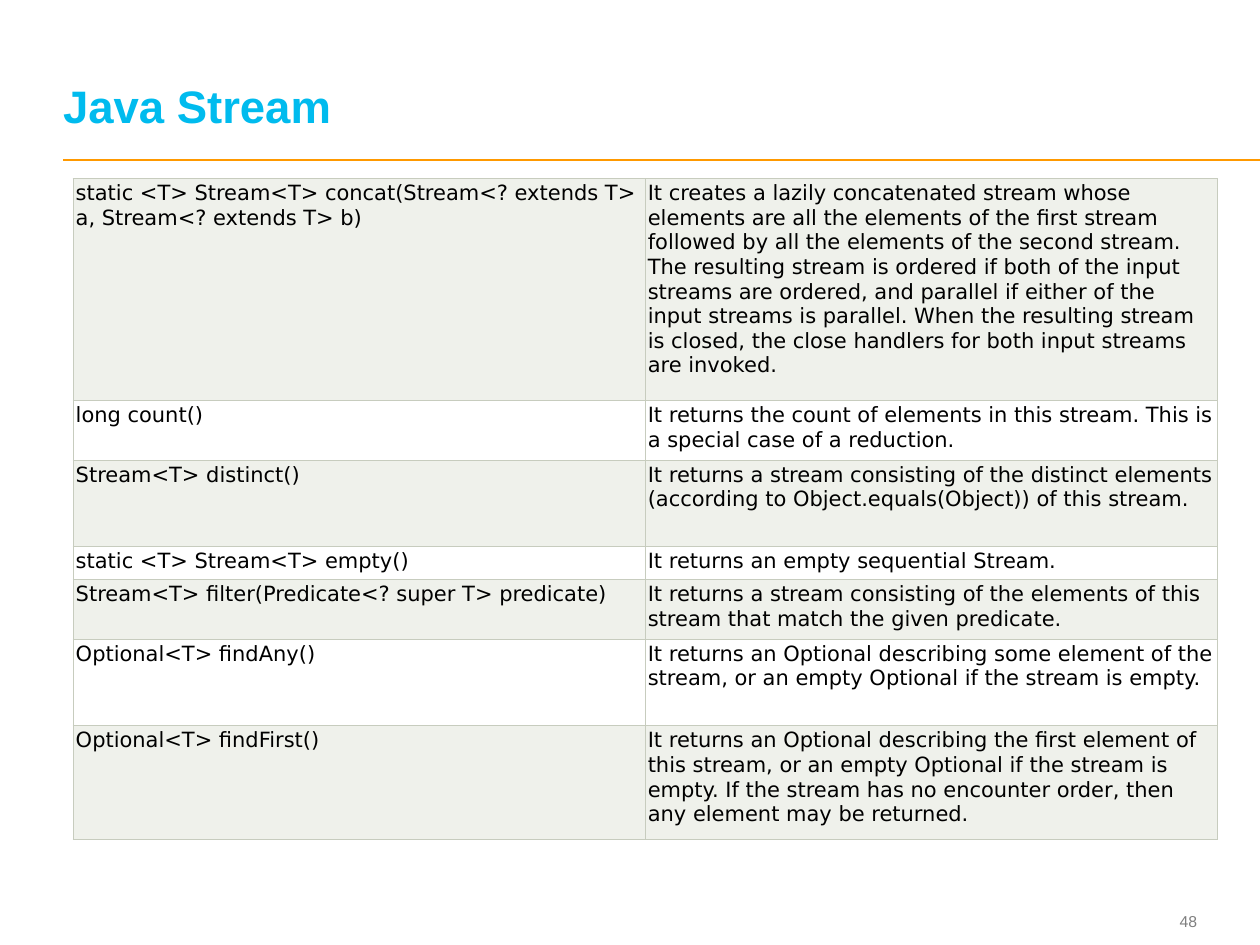
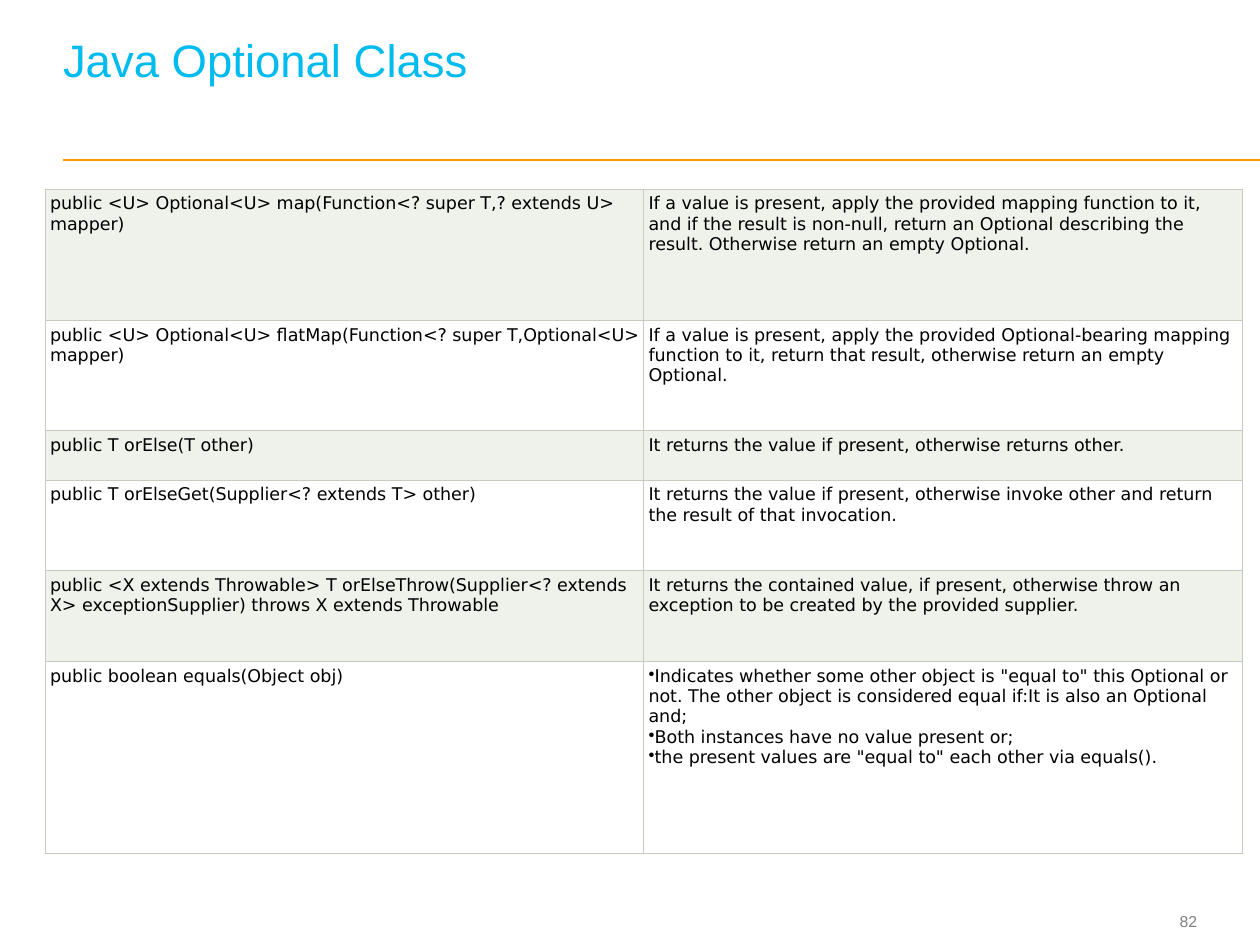
from dataclasses import dataclass

from lxml import etree
from pptx import Presentation
from pptx.dml.color import RGBColor
from pptx.enum.shapes import MSO_CONNECTOR
from pptx.enum.text import MSO_ANCHOR, MSO_AUTO_SIZE, PP_ALIGN
from pptx.oxml.ns import qn
from pptx.util import Pt

LEFT, RIGHT = PP_ALIGN.LEFT, PP_ALIGN.RIGHT
TOP, MIDDLE, BOTTOM = MSO_ANCHOR.TOP, MSO_ANCHOR.MIDDLE, MSO_ANCHOR.BOTTOM
NO_AUTOFIT = MSO_AUTO_SIZE.NONE
STRAIGHT = MSO_CONNECTOR.STRAIGHT
TITLE_ONLY = 5


@dataclass(frozen=True)
class Theme:
    title: str = "00BBEE"
    rule: str = "FF9900"
    number: str = "7F7F7F"
    ink: str = "000000"
    border: str = "C7CCBE"
    bands: tuple = ("EFF1EB", "FFFFFF")
    heading_font: str = "Arial"
    table_font: str = "DejaVu Sans"
    title_size: float = 26
    number_size: float = 9
    rule_width: float = 1
    border_width: float = 0.6


THEME = Theme()
SLIDE_SIZE = (720, 540)
TITLE_BOX = (36, 13.7, 645.8, 61.9)
RULE_BOX = (36, 91.4, 684, 0)
NUMBER_BOX = (641.5, 517, 42.5, 19.4)

STREAM_METHODS = [
    (127, "static <T> Stream<T> concat(Stream<? extends T> a, Stream<? extends T> b)",
     "It creates a lazily concatenated stream whose elements are all the elements of the first "
     "stream followed by all the elements of the second stream. The resulting stream is ordered "
     "if both of the input streams are ordered, and parallel if either of the input streams is "
     "parallel. When the resulting stream is closed, the close handlers for both input streams "
     "are invoked."),
    (34, "long count()",
     "It returns the count of elements in this stream. This is a special case of a reduction."),
    (49.5, "Stream<T> distinct()",
     "It returns a stream consisting of the distinct elements (according to "
     "Object.equals(Object)) of this stream."),
    (18.8, "static <T> Stream<T> empty()",
     "It returns an empty sequential Stream."),
    (34, "Stream<T> filter(Predicate<? super T> predicate)",
     "It returns a stream consisting of the elements of this stream that match the given "
     "predicate."),
    (49.5, "Optional<T> findAny()",
     "It returns an Optional describing some element of the stream, or an empty Optional if "
     "the stream is empty."),
    (65, "Optional<T> findFirst()",
     "It returns an Optional describing the first element of this stream, or an empty Optional "
     "if the stream is empty. If the stream has no encounter order, then any element may be "
     "returned."),
]

OPTIONAL_METHODS = [
    (75, "public <U> Optional<U> map(Function<? super T,? extends U> mapper)",
     "If a value is present, apply the provided mapping function to it, and if the result is "
     "non-null, return an Optional describing the result. Otherwise return an empty Optional."),
    (63, "public <U> Optional<U> flatMap(Function<? super T,Optional<U> mapper)",
     "If a value is present, apply the provided Optional-bearing mapping function to it, return "
     "that result, otherwise return an empty Optional."),
    (28.3, "public T orElse(T other)",
     "It returns the value if present, otherwise returns other."),
    (51.8, "public T orElseGet(Supplier<? extends T> other)",
     "It returns the value if present, otherwise invoke other and return the result of that "
     "invocation."),
    (51.8, "public <X extends Throwable> T orElseThrow(Supplier<? extends X> exceptionSupplier) "
     "throws X extends Throwable",
     "It returns the contained value, if present, otherwise throw an exception to be created by "
     "the provided supplier."),
    (110, "public boolean equals(Object obj)",
     ["Indicates whether some other object is \"equal to\" this Optional or not. The other "
      "object is considered equal if:It is also an Optional and;",
      "Both instances have no value present or;",
      "the present values are \"equal to\" each other via equals()."]),
]


def rgb(value):
    return RGBColor.from_string(value)


def points(box):
    return [Pt(length) for length in box]


def write(frame, text, *, font, size, color, bold=False, align=LEFT, spacing=None):
    bulleted = isinstance(text, list)
    for index, line in enumerate(text if bulleted else [text]):
        paragraph = frame.paragraphs[0] if index == 0 else frame.add_paragraph()
        if bulleted:
            properties = paragraph._p.get_or_add_pPr()
            properties.set("marL", "0")
            properties.set("indent", "0")
            etree.SubElement(properties, qn("a:buChar")).set("char", "•")
        paragraph.alignment = align
        if spacing:
            paragraph.line_spacing = Pt(spacing)
        run = paragraph.add_run()
        run.text = line
        run.font.name = font
        run.font.size = Pt(size)
        run.font.bold = bold
        run.font.color.rgb = rgb(color)


def set_margins(target, inset, bottom=None):
    target.margin_left = target.margin_right = target.margin_top = Pt(inset)
    target.margin_bottom = Pt(inset if bottom is None else bottom)


def add_title(slide, box, text, bold, raised_lines):
    title = slide.shapes.title
    title.left, title.top, title.width, title.height = points(box)
    frame = title.text_frame
    frame.auto_size = NO_AUTOFIT
    frame.word_wrap = True
    frame.vertical_anchor = BOTTOM
    set_margins(frame, 0, raised_lines * THEME.title_size)
    write(frame, text, font=THEME.heading_font, size=THEME.title_size,
          color=THEME.title, bold=bold, spacing=THEME.title_size)


def add_rule(slide, box):
    left, top, width, height = points(box)
    rule = slide.shapes.add_connector(STRAIGHT, left, top, left + width, top + height)
    rule.line.color.rgb = rgb(THEME.rule)
    rule.line.width = Pt(THEME.rule_width)
    etree.SubElement(rule._element.spPr, qn("a:effectLst"))


def add_number(slide, box, number):
    frame = slide.shapes.add_textbox(*points(box)).text_frame
    frame.word_wrap = True
    frame.vertical_anchor = MIDDLE
    set_margins(frame, 0)
    write(frame, number, font=THEME.heading_font, size=THEME.number_size,
          color=THEME.number, align=RIGHT)


def set_borders(cell):
    properties = cell._tc.get_or_add_tcPr()
    for index, side in enumerate(("lnL", "lnR", "lnT", "lnB")):
        border = etree.Element(qn(f"a:{side}"), w=str(int(Pt(THEME.border_width))))
        fill = etree.SubElement(border, qn("a:solidFill"))
        etree.SubElement(fill, qn("a:srgbClr")).set("val", THEME.border)
        properties.insert(index, border)


def add_method_table(slide, box, methods, size, inset):
    table = slide.shapes.add_table(len(methods), 2, *points(box)).table
    table.first_row = table.horz_banding = False
    for column in table.columns:
        column.width = Pt(box[2] / 2)
    for index, (height, *texts) in enumerate(methods):
        table.rows[index].height = Pt(height)
        for cell, text in zip(table.rows[index].cells, texts):
            cell.fill.solid()
            cell.fill.fore_color.rgb = rgb(THEME.bands[index % 2])
            cell.vertical_anchor = TOP
            set_margins(cell, inset)
            set_borders(cell)
            write(cell.text_frame, text, font=THEME.table_font, size=size, color=THEME.ink)


def add_method_slide(deck, title, number, methods, *, left, top, width, size, inset,
                     bold=False, raised_lines=0):
    slide = deck.slides.add_slide(deck.slide_layouts[TITLE_ONLY])
    add_rule(slide, RULE_BOX)
    add_number(slide, NUMBER_BOX, number)
    add_title(slide, TITLE_BOX, title, bold, raised_lines)
    table_height = sum(method[0] for method in methods)
    add_method_table(slide, (left, top, width, table_height), methods, size, inset)


def main():
    deck = Presentation()
    deck.slide_width, deck.slide_height = points(SLIDE_SIZE)
    add_method_slide(deck, "Java Stream", "48", STREAM_METHODS,
                     left=41.8, top=102, width=653.8, size=12, inset=1.5, bold=True)
    add_method_slide(deck, "Java Optional Class", "82", OPTIONAL_METHODS,
                     left=25.9, top=108, width=684, size=10, inset=2.7, raised_lines=1)
    deck.save("out.pptx")


if __name__ == "__main__":
    main()
